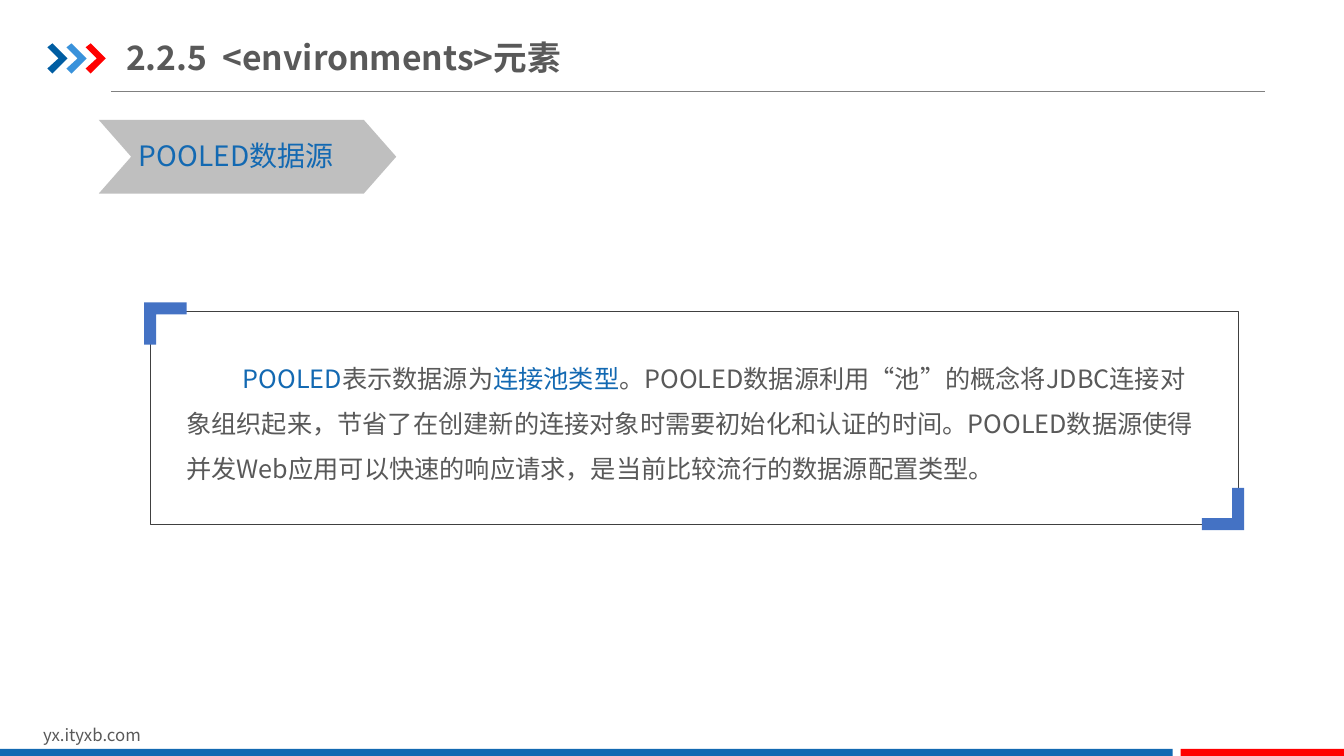
from lxml import etree
from pptx import Presentation
from pptx import util as u
from pptx.dml.color import RGBColor
from pptx.enum import shapes, text
from pptx.oxml import ns

BLUE = RGBColor(0x13, 0x69, 0xB2)
NAVY = RGBColor(0x00, 0x5D, 0xA2)
SKY = RGBColor(0x39, 0x92, 0xDB)
RED = RGBColor(0xFF, 0x00, 0x00)
BRACKET = RGBColor(0x44, 0x72, 0xC4)
SILVER = RGBColor(0xBF, 0xBF, 0xBF)
GREY = RGBColor(0x80, 0x80, 0x80)
INK = RGBColor(0x59, 0x59, 0x59)
FRAME = RGBColor(0x40, 0x40, 0x40)
MARGINS = (0.1, 0.05, 0.1, 0.05)


def add_run(p, content, size=18, color=INK, bold=False, font="Noto Sans CJK SC"):
    """Append a run, setting the font for Latin and East Asian text alike."""
    r = p.add_run()
    r.text = content
    r.font.name, r.font.size, r.font.bold = font, u.Pt(size), bold
    r.font.color.rgb = color
    latin = r.font._element.find(ns.qn("a:latin"))
    ea = etree.Element(ns.qn("a:ea"), typeface=font)
    latin.addnext(ea)


class SlideBuilder:
    """Draws the elements of one slide in a shared style; lengths are inches."""

    def __init__(self, s):
        self.s = s

    def place(self, sp, box):
        sp.left, sp.top, sp.width, sp.height = map(u.Inches, box)

    def fill_text(self, sp, runs, margins=MARGINS, anchor=text.MSO_ANCHOR.TOP,
                  spacing=1.0, indent=0, **fmt):
        """Fill a shape with one paragraph made of (text, color) runs."""
        tf = sp.text_frame
        tf.word_wrap = True
        tf.auto_size = text.MSO_AUTO_SIZE.NONE
        tf.vertical_anchor = anchor
        (tf.margin_left, tf.margin_top,
         tf.margin_right, tf.margin_bottom) = map(u.Inches, margins)
        p = tf.paragraphs[0]
        p.alignment = text.PP_ALIGN.LEFT
        p.line_spacing = spacing
        if indent:
            p._p.get_or_add_pPr().set("indent", str(u.Inches(indent)))
        for content, color in runs:
            add_run(p, content, color=color, **fmt)

    def title(self, box, content, **fmt):
        sp = self.s.shapes.title
        self.place(sp, box)
        self.fill_text(sp, [(content, INK)], margins=(0, 0.07, 0, 0.07),
                       anchor=text.MSO_ANCHOR.MIDDLE, **fmt)

    def text(self, box, runs, **fmt):
        sp = self.s.shapes.add_textbox(*map(u.Inches, box))
        self.fill_text(sp, runs, **fmt)

    def paint(self, sp, fill=None, line=None, width=0.25):
        sp.shadow.inherit = False
        if fill is None:
            sp.fill.background()
        else:
            sp.fill.solid()
            sp.fill.fore_color.rgb = fill
        if line is None:
            sp.line.fill.background()
        else:
            sp.line.color.rgb = line
            sp.line.width = u.Pt(width)

    def shape(self, kind, box, adjust=None, **style):
        sp = self.s.shapes.add_shape(kind, *map(u.Inches, box))
        if adjust is not None:
            sp.adjustments[0] = adjust
        self.paint(sp, **style)

    def outline(self, x, y, points, fill, sign=1):
        """Closed outline from offsets to (x, y); sign=-1 turns it by 180°."""
        pts = [(u.Inches(x + sign * dx), u.Inches(y + sign * dy)) for dx, dy in points]
        fb = self.s.shapes.build_freeform(*pts[0], scale=1.0)
        fb.add_line_segments(pts[1:], close=True)
        self.paint(fb.convert_to_shape(), fill=fill)

    def rule(self, x1, x2, y, color, width):
        c = self.s.shapes.add_connector(
            shapes.MSO_CONNECTOR.STRAIGHT, *map(u.Inches, (x1, y, x2, y)))
        c.line.color.rgb = color
        c.line.width = u.Pt(width)
        etree.SubElement(c._element.spPr, ns.qn("a:effectLst"))


def main():
    prs = Presentation()
    prs.slide_width, prs.slide_height = u.Inches(13.33), u.Inches(7.5)
    b = SlideBuilder(prs.slides.add_slide(prs.slide_layouts[5]))
    kinds = shapes.MSO_SHAPE

    b.rule(1.1, 12.55, 0.91, GREY, 0.5)
    arrow = [(0, 0.04), (0.05, 0), (0.2, 0.15), (0.05, 0.3), (0, 0.25), (0.11, 0.15)]
    for i, color in enumerate((NAVY, SKY, RED)):
        b.outline(0.47 + 0.19 * i, 0.43, arrow, color)
    b.title((1.25, 0.29, 4.87, 0.55), "2.2.5  <environments>元素", size=24, bold=True)

    b.text((0.33, 7.14, 3.18, 0.3), [("yx.ityxb.com", INK)], size=12)
    for x, width, color in ((0, 11.63, BLUE), (11.71, 1.62, RED)):
        b.shape(kinds.RECTANGLE, (x, 7.43, width, 0.07), fill=color)

    b.shape(kinds.CHEVRON, (0.98, 1.19, 2.95, 0.73), adjust=0.44, fill=SILVER)
    b.text((1.28, 1.33, 2.56, 0.44), [("POOLED数据源", BLUE)], size=20)

    b.text((1.75, 3.4, 10.27, 1.55), [
        ("POOLED", BLUE),
        ("表示数据源为", INK),
        ("连接池类型", BLUE),
        ("。POOLED数据源利用“池”的概念将JDBC连接对象组织起来，"
         "节省了在创建新的连接对象时需要初始化和认证的时间。"
         "POOLED数据源使得并发Web应用可以快速的响应请求，"
         "是当前比较流行的数据源配置类型。", INK),
    ], spacing=1.5, indent=0.56)
    b.shape(kinds.ROUNDED_RECTANGLE, (1.49, 3.09, 10.79, 2.11), adjust=0, line=FRAME)
    bracket = [(0, 0), (0.42, 0), (0.42, 0.12), (0.12, 0.12), (0.12, 0.42), (0, 0.42)]
    for x, y, sign in ((1.43, 3, 1), (12.34, 5.26, -1)):
        b.outline(x, y, bracket, BRACKET, sign)

    prs.save("out.pptx")


if __name__ == "__main__":
    main()
